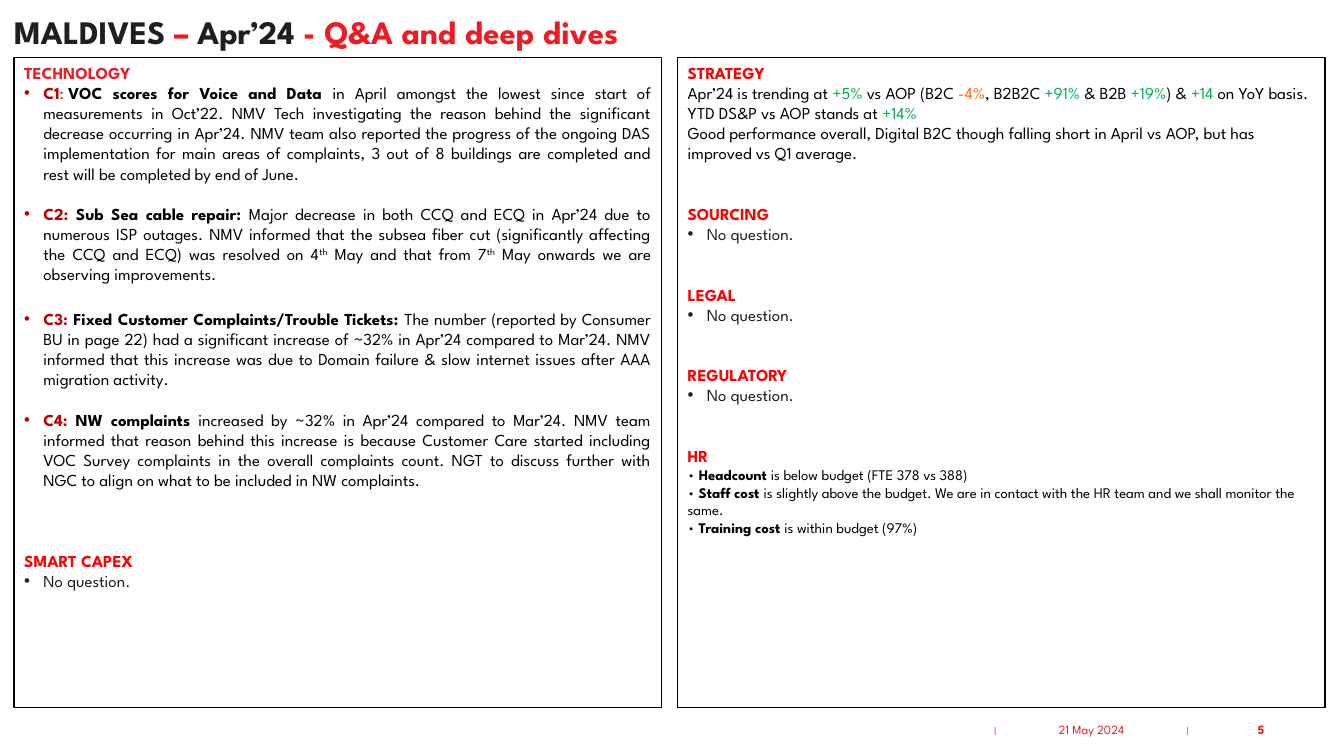
"""Build the Maldives Q&A and deep dives slide."""
from lxml.etree import SubElement
from pptx import Presentation
from pptx.dml.color import RGBColor
from pptx.enum.text import MSO_ANCHOR, MSO_AUTO_SIZE, PP_ALIGN
from pptx.oxml.ns import qn
from pptx.util import Inches, Pt

TITLE = [("title_dark", "MALDIVES "), ("title_red", "– "), ("title_dark", "Apr’24"),
         ("title_red", " - Q&A and deep dives")]

NO_QUESTION = ("bullet", 0, [("dark", "No question.")])

TECHNOLOGY = [
    ("plain", 0, [("brand_heading", "TECHNOLOGY")]),
    ("justified", 0, [
        ("code", "C1"), ("code_light", ":\u00a0"), ("strong", "VOC scores for Voice and Data "),
        ("text", "in April amongst the lowest since start of measurements in Oct’22. NMV Tech "
                 "investigating the reason behind the significant decrease occurring in Apr’24. "
                 "NMV team also reported the progress of the ongoing DAS implementation for main "
                 "areas of complaints, 3 out of 8 buildings are completed and rest will be "
                 "completed by end of June. ")]),
    ("justified", 1, [
        ("code", "C2: "), ("strong", "Sub Sea cable repair: "),
        ("text", "Major decrease in both CCQ and ECQ in Apr’24 due to numerous ISP outages. NMV "
                 "informed that the subsea fiber cut (significantly affecting the CCQ and ECQ) "
                 "was resolved on 4"),
        ("raised", "th"), ("text", " May and that from 7"), ("raised", "th"),
        ("text", " May onwards we are observing improvements.")]),
    ("justified", 1.2, [
        ("code", "C3: "), ("strong", "Fixed Customer Complaints/Trouble Tickets: "),
        ("text", "The number (reported by Consumer BU in page 22) had a significant increase of "
                 "~32% in Apr’24 compared to Mar’24. NMV informed that this increase was due to "
                 "Domain failure & slow internet issues after AAA migration activity.")]),
    ("justified", 1, [
        ("code", "C4:"), ("code_light", " "), ("strong", "NW complaints "),
        ("text", "increased by ~32% in Apr’24 compared to Mar’24. NMV team informed that reason "
                 "behind this increase is because Customer Care started including VOC Survey "
                 "complaints in the overall complaints count. NGT to discuss further with NGC to "
                 "align on what to be included in NW complaints.")]),
    ("plain", 3, [("heading", "SMART CAPEX")]),
    NO_QUESTION,
]

STRATEGY = [
    ("plain", 0, [("heading", "STRATEGY")]),
    ("plain", 0, [
        ("text", "Apr’24 is trending at "), ("up", "+5% "), ("text", "vs AOP (B2C "),
        ("down", "-4%"), ("text", ", B2B2C "), ("up", "+91%"), ("text", " & B2B "),
        ("up", "+19%"), ("text", ") & "), ("up", "+14"),
        ("text", " on YoY basis. YTD DS&P vs AOP stands at "), ("up", "+14%")]),
    ("plain", 0, [("text", "Good performance overall, Digital B2C though falling short in April "
                           "vs AOP, but has improved vs Q1 average.")]),
    ("plain", 2, [("heading", "SOURCING")]),
    NO_QUESTION,
    ("plain", 2, [("heading", "LEGAL")]),
    NO_QUESTION,
    ("plain", 2, [("heading", "REGULATORY")]),
    NO_QUESTION,
    ("plain", 2, [("heading", "HR")]),
    ("plain", 0, [("small", "•"), ("small_strong", " Headcount "),
                  ("small", "is below budget (FTE 378 vs 388)")]),
    ("plain", 0, [("small", "• "), ("small_strong", "Staff cost "),
                  ("small", "is slightly above the budget. We are in contact with the HR team "
                            "and we shall monitor the same.")]),
    ("plain", 0, [("small", "• "), ("small_strong", "Training cost "),
                  ("small", "is within budget (97%)")]),
]

SEPARATOR = [("separator", "|")]
DATE = [("footer", "21 May 2024")]
PAGE_NUMBER = [("footer_strong", "5")]


class Theme:
    """Fonts, colours, type sizes and run styles of the slide."""
    font, separator_font = "League Spartan", "Arial"
    black, dark, white = "000000", "221E20", "FFFFFF"
    brand, red, deep_red = "ED1C24", "FF0000", "C00000"
    green, orange = "00B050", "FF6600"
    title, body, small, footer, separator = 23.4, 12, 10.5, 9, 6
    border = 1.25
    runs = {
        "title_dark": (title, dark, True), "title_red": (title, brand, True),
        "brand_heading": (body, brand, True), "heading": (body, red, True),
        "code": (body, deep_red, True), "code_light": (body, deep_red, False),
        "strong": (body, black, True), "text": (body, black, False),
        "raised": (body, black, False), "dark": (body, dark, False),
        "up": (body, green, False), "down": (body, orange, False),
        "small": (small, black, False), "small_strong": (small, black, True),
        "footer": (footer, brand, False), "footer_strong": (footer, brand, True),
        "separator": (separator, brand, False),
    }


WIDTH, HEIGHT = 13.33, 7.5
MARGIN, GUTTER = 0.14, 0.16
PANEL_TOP, PANEL_HEIGHT = 0.57, 6.45
PANEL_WIDTH = 6.42
LINE_PITCH, BULLET_INDENT = 14.4, 0.19
FOOTER_MIDDLE, FOOTER_HEIGHT = 7.24, 0.4
FOOTER_EDGES = (9.87, 11.78, 12.64)
SEPARATOR_WIDTH, SEPARATOR_HEIGHT = 0.34, 0.2


def color(value):
    """Turn a hex value into a colour."""
    return RGBColor.from_string(value)


def apply(target, values):
    """Set every attribute named in a dict."""
    for name, value in values.items():
        setattr(target, name, value)


def place(shape, left, top, width, height):
    """Move and size a shape in inches."""
    apply(shape, {"left": Inches(left), "top": Inches(top),
                  "width": Inches(width), "height": Inches(height)})


def add_runs(paragraph, runs):
    """Add styled runs to a paragraph."""
    for style, text in runs:
        size, ink, bold = Theme.runs[style]
        run = paragraph.add_run()
        run.text = text
        apply(run.font, {"size": Pt(size), "bold": bold,
                         "name": Theme.separator_font if style == "separator" else Theme.font})
        run.font.color.rgb = color(ink)
        if style == "raised":
            run.font._element.set("baseline", "30000")


def set_bullet(paragraph, bulleted):
    """Give a paragraph a hanging bullet or none."""
    properties = paragraph._p.get_or_add_pPr()
    indent = Inches(BULLET_INDENT) if bulleted else 0
    properties.set("marL", str(indent))
    properties.set("indent", str(-indent))
    if bulleted:
        SubElement(properties, qn("a:buFont"), typeface="Arial")
        SubElement(properties, qn("a:buChar"), char="•")
    else:
        SubElement(properties, qn("a:buNone"))


def fill_panel(panel, column, paragraphs):
    """Format a body placeholder as a bordered panel of text."""
    place(panel, MARGIN + column * (PANEL_WIDTH + GUTTER), PANEL_TOP, PANEL_WIDTH, PANEL_HEIGHT)
    panel.fill.solid()
    panel.fill.fore_color.rgb = color(Theme.white)
    panel.line.color.rgb = color(Theme.black)
    panel.line.width = Pt(Theme.border)
    frame = panel.text_frame
    apply(frame, {"word_wrap": True, "auto_size": MSO_AUTO_SIZE.NONE,
                  "vertical_anchor": MSO_ANCHOR.TOP})
    for index, (kind, gap_lines, runs) in enumerate(paragraphs):
        paragraph = frame.add_paragraph() if index else frame.paragraphs[0]
        apply(paragraph, {
            "space_before": Pt(gap_lines * LINE_PITCH), "space_after": Pt(0), "line_spacing": 1.0,
            "alignment": PP_ALIGN.JUSTIFY if kind == "justified" else PP_ALIGN.LEFT})
        set_bullet(paragraph, kind != "plain")
        add_runs(paragraph, runs)


def add_footer(slide, left, width, height, runs, alignment):
    """Add a text box centred on the footer line."""
    box = slide.shapes.add_textbox(0, 0, 0, 0)
    place(box, left, FOOTER_MIDDLE - height / 2, width, height)
    apply(box.text_frame, {"word_wrap": True, "vertical_anchor": MSO_ANCHOR.MIDDLE})
    paragraph = box.text_frame.paragraphs[0]
    paragraph.alignment = alignment
    add_runs(paragraph, runs)


def main():
    """Assemble and save the slide."""
    presentation = Presentation()
    apply(presentation, {"slide_width": Inches(WIDTH), "slide_height": Inches(HEIGHT)})
    slide = presentation.slides.add_slide(presentation.slide_layouts.get_by_name("Two Content"))

    title = slide.shapes.title
    place(title, MARGIN, 0.11, WIDTH - 1.14 * MARGIN, 0.45)
    apply(title.text_frame, {"margin_left": 0, "vertical_anchor": MSO_ANCHOR.MIDDLE,
                             "auto_size": MSO_AUTO_SIZE.NONE, "word_wrap": True})
    heading = title.text_frame.paragraphs[0]
    apply(heading, {"alignment": PP_ALIGN.LEFT, "line_spacing": 0.9})
    add_runs(heading, TITLE)

    for column, paragraphs in enumerate((TECHNOLOGY, STRATEGY)):
        fill_panel(slide.placeholders[column + 1], column, paragraphs)

    date_left, number_left, number_right = FOOTER_EDGES
    for edge in (date_left, number_left):
        add_footer(slide, edge - SEPARATOR_WIDTH / 2, SEPARATOR_WIDTH, SEPARATOR_HEIGHT,
                   SEPARATOR, PP_ALIGN.CENTER)
    add_footer(slide, date_left, number_left - date_left, FOOTER_HEIGHT, DATE, PP_ALIGN.CENTER)
    add_footer(slide, number_left, number_right - number_left, FOOTER_HEIGHT, PAGE_NUMBER,
               PP_ALIGN.RIGHT)
    presentation.save("out.pptx")


if __name__ == "__main__":
    main()
